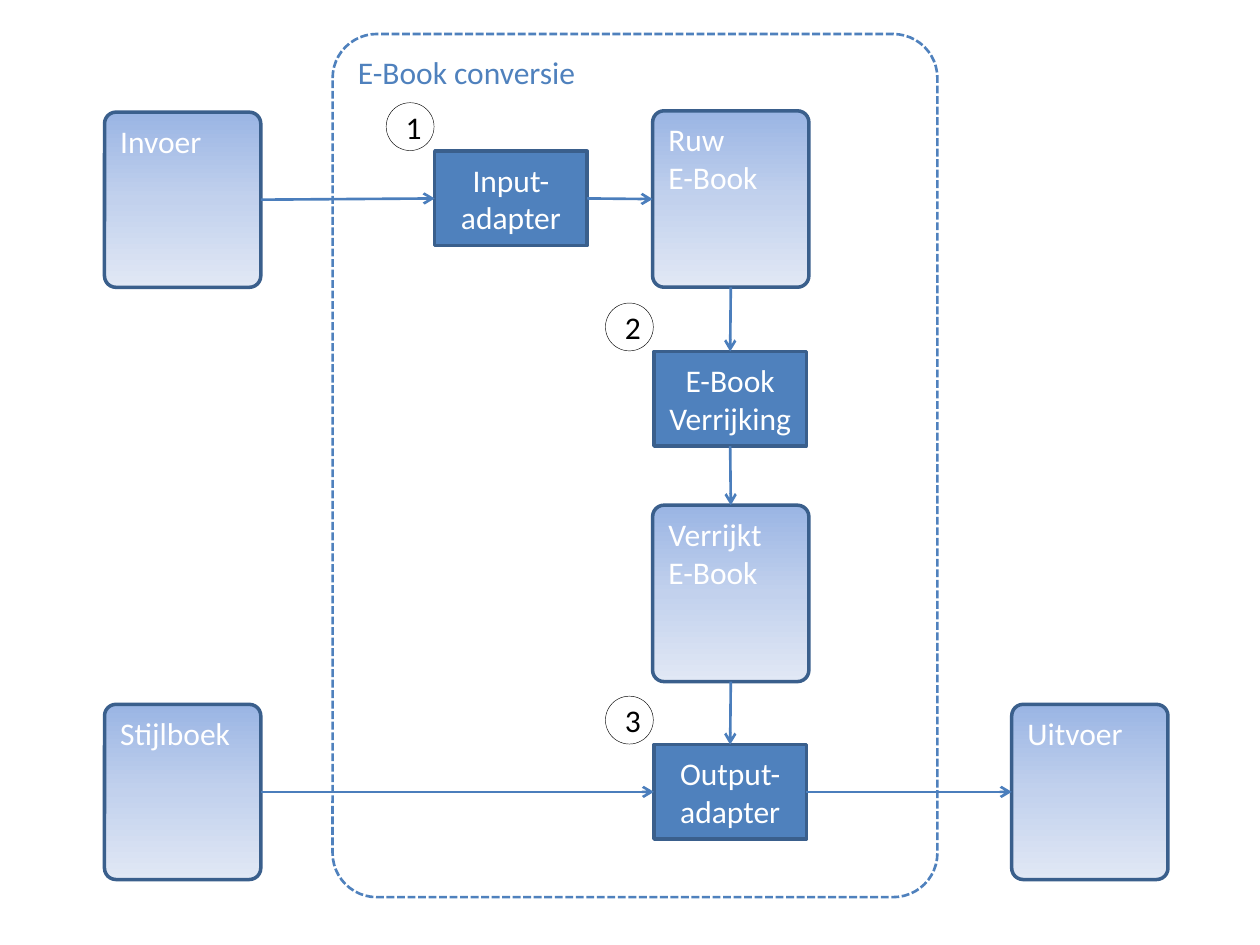
from copy import deepcopy
from pptx import Presentation
from pptx.dml.color import RGBColor
from pptx.enum.dml import MSO_LINE
from pptx.enum.shapes import MSO_CONNECTOR, MSO_SHAPE
from pptx.enum.text import MSO_ANCHOR, PP_ALIGN
from pptx.oxml.ns import qn
from pptx.util import Inches, Pt
from lxml import etree

ROUND, RECT, OVAL = MSO_SHAPE.ROUNDED_RECTANGLE, MSO_SHAPE.RECTANGLE, MSO_SHAPE.OVAL
LEFT, CENTER = PP_ALIGN.LEFT, PP_ALIGN.CENTER
TOP, MIDDLE = MSO_ANCHOR.TOP, MSO_ANCHOR.MIDDLE
NORTH, WEST, SOUTH, EAST = range(4)  # connection sites of a box
BLUE, DARK, WHITE, BLACK = "4F81BD", "3A5F8C", "FFFFFF", "000000"
SHADES = [(0, "9AB5E4"), (0.5, "C2D1ED"), (1, "E1E8F5")]

prs = Presentation()
prs.slide_width, prs.slide_height = Inches(10), Inches(7.5)
slide = prs.slides.add_slide(prs.slide_layouts[6])


def rgb(code):
    return RGBColor.from_string(code)


def add_box(kind, x, y, w, h, lines, ink, edge, width):
    box = slide.shapes.add_shape(kind, Inches(x), Inches(y), Inches(w), Inches(h))
    box.shadow.inherit = False
    box.fill.background()
    box.line.color.rgb = rgb(edge)
    box.line.width = Pt(width)
    if kind == ROUND:
        box.adjustments[0] = 0.073
    frame = box.text_frame
    frame.word_wrap = True
    frame.vertical_anchor = TOP if kind == ROUND else MIDDLE
    for i, line in enumerate(lines):
        para = frame.add_paragraph() if i else frame.paragraphs[0]
        para.alignment = LEFT if kind == ROUND else CENTER
        run = para.add_run()
        run.text = line
        run.font.name, run.font.size = "Calibri", Pt(18)
        run.font.color.rgb = rgb(ink)
    return box


boxes = {}

# Documents with a vertical gradient
docs = [
    ("style", 0.83, 5.59, 1.39, ["Stijlboek"]),
    ("input", 0.83, 0.89, 1.39, ["Invoer"]),
    ("raw", 5.18, 0.88, 1.4, ["Ruw", "E-Book"]),
    ("rich", 5.18, 4.01, 1.4, ["Verrijkt", "E-Book"]),
    ("output", 8.03, 5.59, 1.39, ["Uitvoer"]),
]
for name, x, y, h, lines in docs:
    doc = add_box(ROUND, x, y, 1.24, h, lines, WHITE, DARK, 2)
    doc.fill.gradient()
    doc.fill.gradient_angle = 270
    stops = doc._element.spPr.find(qn("a:gradFill")).find(qn("a:gsLst"))
    stops.insert(1, deepcopy(stops[0]))
    for stop, (place, shade) in zip(doc.fill.gradient_stops, SHADES):
        stop.position = place
        stop.color.rgb = rgb(shade)
    boxes[name] = doc

# Process steps, each with a numbered circle at its top left corner
steps = [
    ("adapt in", 3.45, 1.2, ["Input-adapter"]),
    ("enrich", 5.19, 2.79, ["E-Book", "Verrijking"]),
    ("adapt out", 5.19, 5.91, ["Output-adapter"]),
]
for num, (name, x, y, lines) in enumerate(steps, 1):
    step = add_box(RECT, x, y, 1.21, 0.75, lines, WHITE, DARK, 2)
    step.fill.solid()
    step.fill.fore_color.rgb = rgb(BLUE)
    boxes[name] = step
    add_box(OVAL, x - 0.385, y - 0.385, 0.38, 0.38, [str(num)], BLACK, BLACK, 0.25)

# Arrows
flows = [
    ("input", EAST, "adapt in", WEST),
    ("adapt in", EAST, "raw", WEST),
    ("raw", SOUTH, "enrich", NORTH),
    ("enrich", SOUTH, "rich", NORTH),
    ("rich", SOUTH, "adapt out", NORTH),
    ("style", EAST, "adapt out", WEST),
    ("adapt out", EAST, "output", WEST),
]
for start, leave, end, enter in flows:
    flow = slide.shapes.add_connector(MSO_CONNECTOR.STRAIGHT, 0, 0, 0, 0)
    flow.begin_connect(boxes[start], leave)
    flow.end_connect(boxes[end], enter)
    flow.line.color.rgb = rgb("4B7EBC")
    flow.line.width = Pt(1.5)
    etree.SubElement(flow.line._get_or_add_ln(), qn("a:tailEnd"), type="arrow")
    etree.SubElement(flow._element.spPr, qn("a:effectLst"))

# Dashed frame around the conversion
zone = add_box(ROUND, 2.64, 0.27, 4.8, 6.85, ["E-Book conversie"], BLUE, BLUE, 1.5)
zone.line.dash_style = MSO_LINE.SQUARE_DOT

prs.save("out.pptx")
